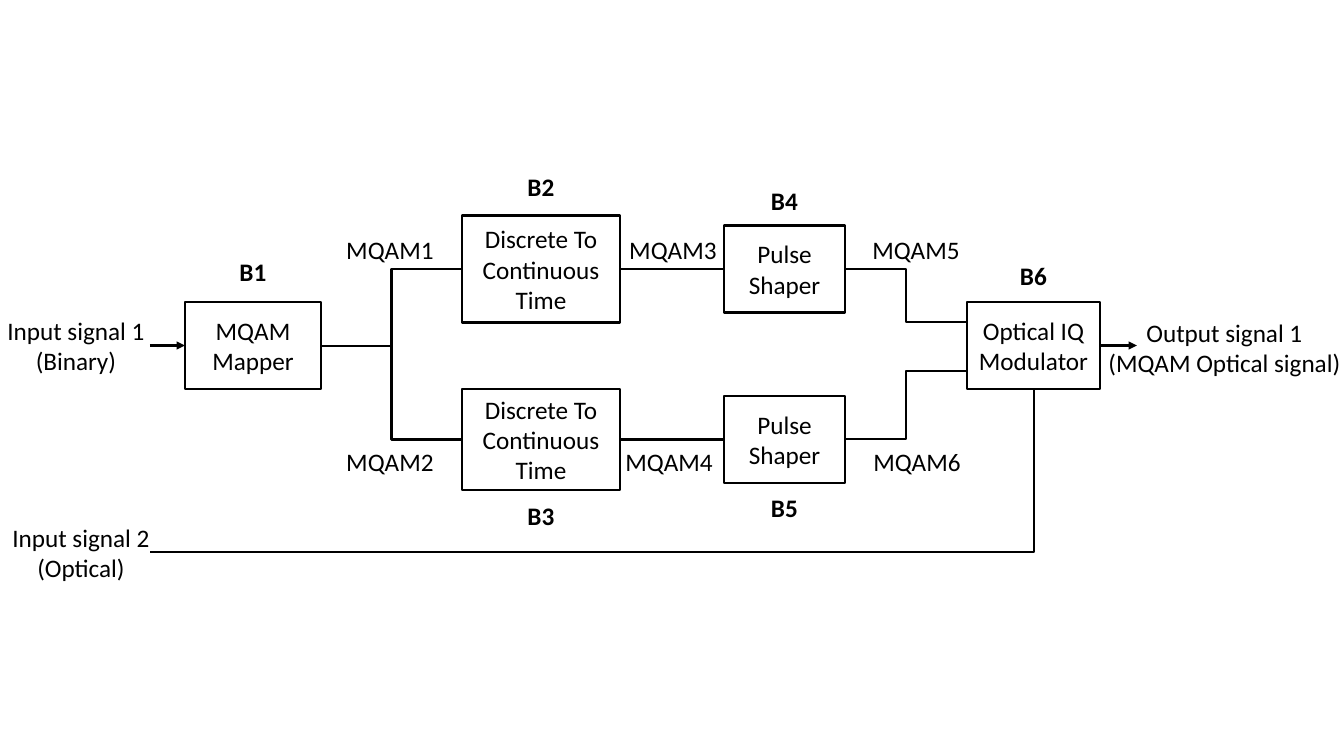
from lxml import etree
from pptx import Presentation
from pptx.dml.color import RGBColor
from pptx.enum.shapes import MSO_CONNECTOR, MSO_SHAPE
from pptx.enum.text import MSO_ANCHOR, PP_ALIGN
from pptx.oxml.ns import qn
from pptx.util import Emu, Pt

BLACK = RGBColor(0, 0, 0)
RECT = MSO_SHAPE.RECTANGLE
LINE = MSO_CONNECTOR.STRAIGHT
ELBOW = MSO_CONNECTOR.ELBOW
CENTER = PP_ALIGN.CENTER
TOP = MSO_ANCHOR.TOP
MIDDLE = MSO_ANCHOR.MIDDLE
FONT = "Calibri"
SCALE = 12192000 / 1344
TAG_W, TAG_H = 62, 41
BLOCK_H = 87


def emu(*pixels):
    """Turn pixels into EMU lengths."""
    return [Emu(round(value * SCALE)) for value in pixels]


def write(shape, text, anchor=TOP, bold=False):
    """Put centred, wrapped text in a shape."""
    frame = shape.text_frame
    frame.word_wrap = True
    frame.vertical_anchor = anchor
    para = frame.paragraphs[0]
    para.text = text
    para.alignment = CENTER
    para.font.name = FONT
    para.font.size = Pt(18)
    para.font.bold = bold
    para.font.color.rgb = BLACK


def label(slide, text, box, bold=False):
    """Place free text in a box."""
    write(slide.shapes.add_textbox(*emu(*box)), text, bold=bold)


def block(slide, text, box, tag, shift):
    """Draw a block with its tag centred, shifted from the block top."""
    left, top, width, height = box
    shape = slide.shapes.add_shape(RECT, *emu(*box))
    shape.shadow.inherit = False
    shape.fill.background()
    shape.line.color.rgb = BLACK
    shape.line.width = Pt(2)
    write(shape, text, MIDDLE)
    middle = left + width / 2
    label(slide, tag, (middle - TAG_W / 2, top + shift, TAG_W, TAG_H), True)


def wire(slide, start, end, kind=LINE, arrow=False):
    """Join two points and return the connector."""
    link = slide.shapes.add_connector(kind, *emu(*start, *end))
    link.line.color.rgb = BLACK
    link.line.width = Pt(1.5)
    if arrow:
        etree.SubElement(link.line._get_or_add_ln(), qn("a:tailEnd"), type="triangle")
    etree.SubElement(link.element.spPr, qn("a:effectLst"))
    return link


def branch(slide, box, entry, leave, tall, tags, shifts, notes, rise):
    """Draw one signal path, with its blocks centred on the box's middle."""
    left, top, width, height = box
    axis = top + height / 2
    parts = [("Discrete To Continuous Time", 141, 158, tall),
             ("Pulse Shaper", 403, 121, BLOCK_H)]
    for (text, shift, size, high), tag, gap in zip(parts, tags, shifts):
        spot = (left + shift, axis - high / 2, size, high)
        block(slide, text, spot, tag, gap)
    wire(slide, (left, entry), (left + 141, axis), ELBOW)
    wire(slide, (left + 299, axis), (left + 403, axis))
    wire(slide, (left + 524, axis), (left + width, leave), ELBOW)
    for text, shift in notes:
        label(slide, text, (left + shift, axis + rise, 112, TAG_H))


def ends(slide, box):
    """Draw the outer blocks and signals around the two paths."""
    left, top, width, height = box
    axis = top + BLOCK_H / 2
    block(slide, "MQAM Mapper", (left + 185, top, 136, BLOCK_H), "B1", -51)
    block(slide, "Optical IQ Modulator", (left + 967, top, 133, BLOCK_H), "B6", -47)
    label(slide, "Input signal 1 (Binary)", (left - 30, top + 8, 212, 72))
    label(slide, "Input signal 2 (Optical)", (left - 25, top + 215, 212, 72))
    label(slide, "Output signal 1 (MQAM Optical signal)",
          (left + width - 248, top + 10, 257, 72))
    wire(slide, (left + 150, axis), (left + 185, axis), arrow=True)
    wire(slide, (left + 1100, axis), (left + 1137, axis), arrow=True)
    feed = wire(slide, (left + 150, top + height), (left + 1034, top + BLOCK_H), ELBOW)
    feed.element.spPr.find(qn("a:prstGeom")).set("prst", "bentConnector2")


def main():
    """Build and save the slide."""
    deck = Presentation()
    deck.slide_width, deck.slide_height = emu(1344, 756)
    slide = deck.slides.add_slide(deck.slide_layouts[6])
    ends(slide, (0, 302, 1344, 250))
    branch(slide, (321, 216, 646, 106), 346, 322, 107, ("B2", "B4"), (-49, -45),
           [("MQAM1", 13), ("MQAM3", 296), ("MQAM5", 539)], -40)
    branch(slide, (321, 389, 646, 101), 346, 371, 101, ("B3", "B5"), (106, 91),
           [("MQAM2", 13), ("MQAM4", 292), ("MQAM6", 540)], 2)
    deck.save("out.pptx")


main()
